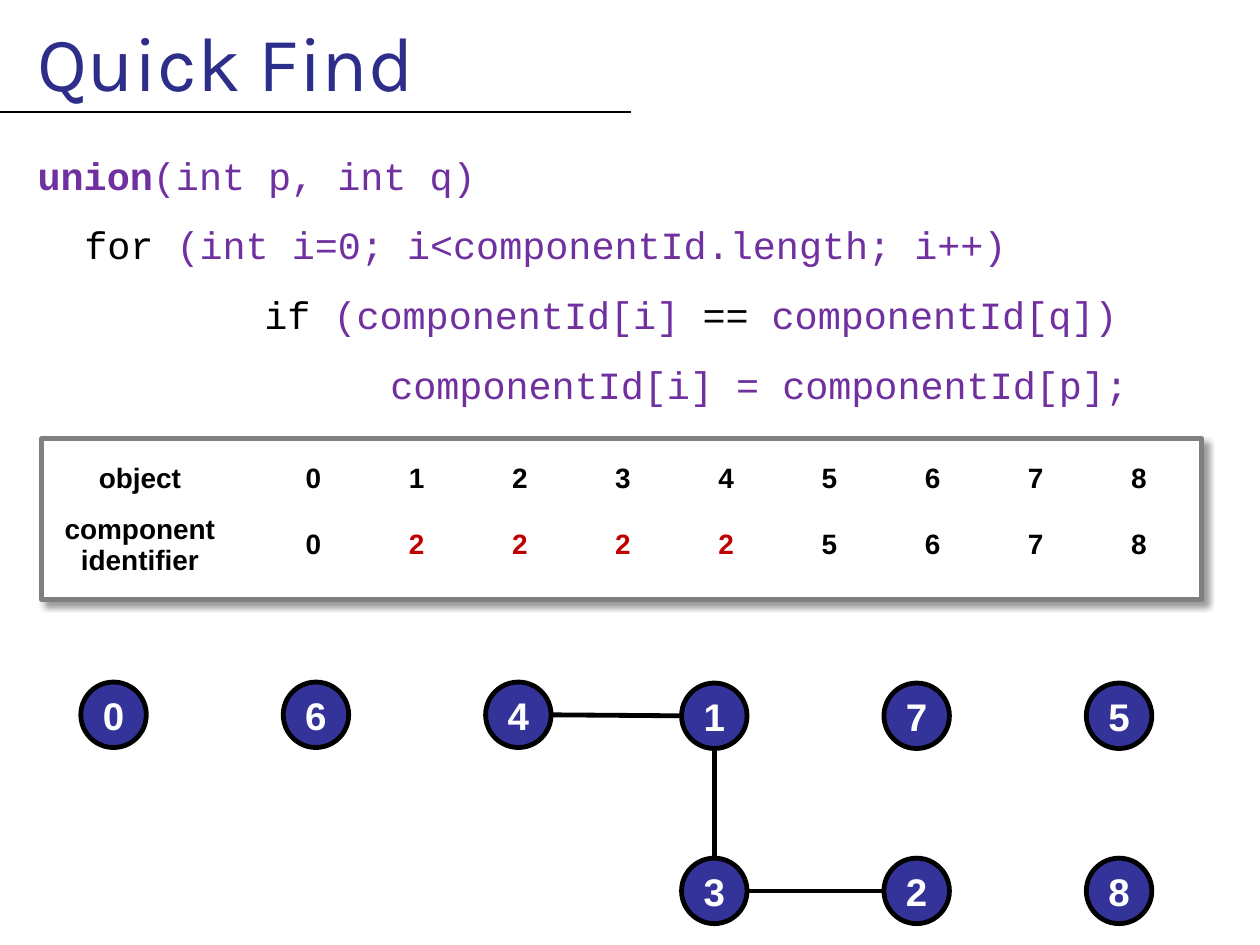
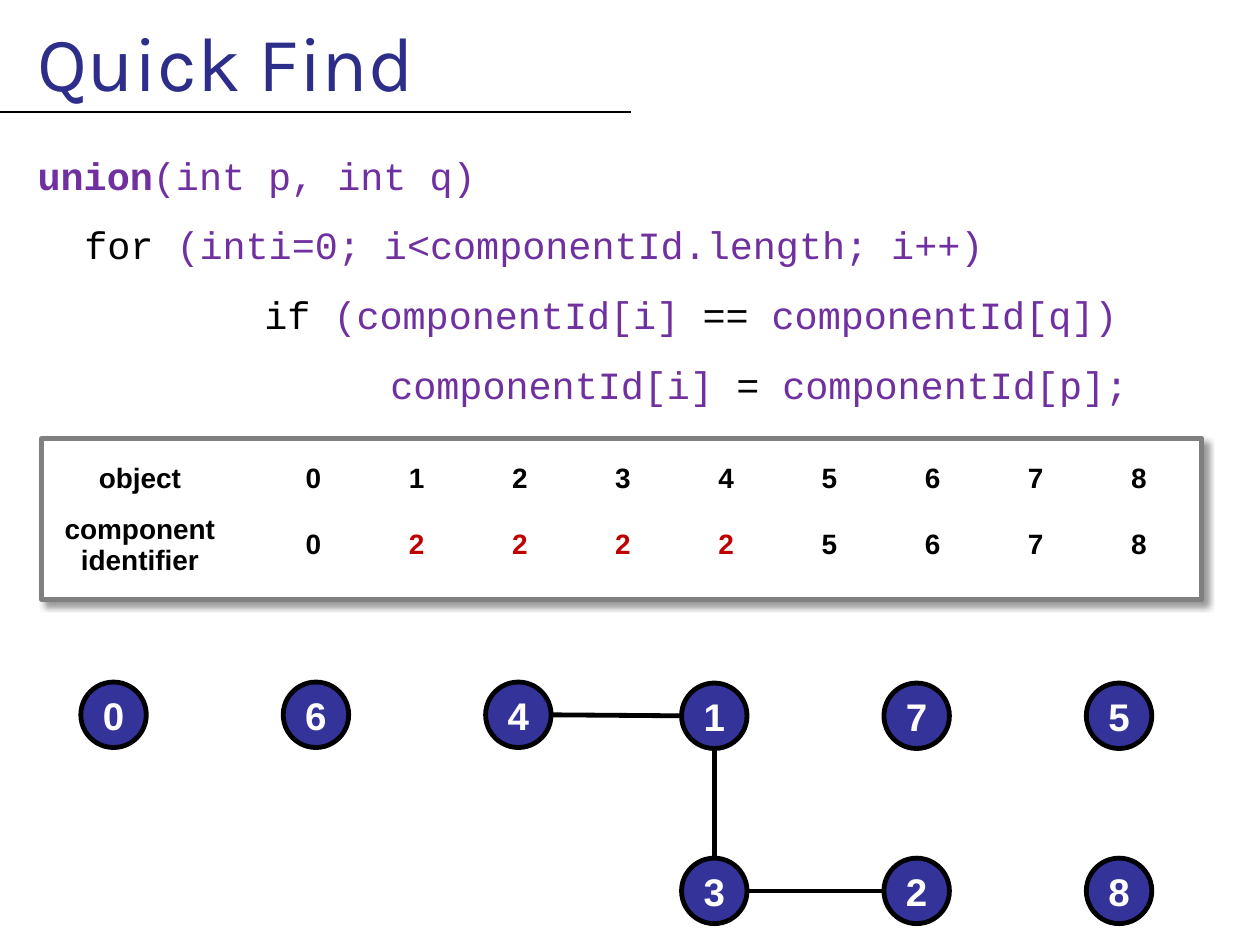
from lxml import etree
from pptx import Presentation
from pptx.dml.color import RGBColor
from pptx.enum.shapes import MSO_CONNECTOR as Connector, MSO_SHAPE as Shape
from pptx.enum.text import MSO_ANCHOR as Anchor, PP_ALIGN as Align
from pptx.oxml import parse_xml
from pptx.oxml.ns import nsdecls, qn
from pptx.util import Cm, Pt

COLORS = {
    "title": "2D2D8A",
    "code": "7030A0",
    "text": "000000",
    "changed": "C00000",
    "node": "333399",
    "frame": "808080",
    "white": "FFFFFF",
}
COLORS = {name: RGBColor.from_string(value) for name, value in COLORS.items()}

SHADOW = f"""<a:effectLst {nsdecls('a')}>
<a:outerShdw blurRad="50800" dist="38100" dir="2700000" algn="tl" rotWithShape="0">
<a:srgbClr val="000000"><a:alpha val="40000"/></a:srgbClr>
</a:outerShdw></a:effectLst>"""

LOOPS = ["(int i=0; i<componentId.length; i++)", "(inti=0; i<componentId.length; i++)"]
ASSIGN_COLORS = ["code", "text"]
CODE_INDENTS = [0.51, 1.45, 5.08, 7.62]

OBJECTS = [0, 1, 2, 3, 4, 5, 6, 7, 8]
IDENTIFIERS = [0, 2, 2, 2, 2, 5, 6, 7, 8]

NODE_SIZE = 1.32
NODE_STEP = 4.08
LEFT_START, RIGHT_START = 1.63, 13.74
TOP_ROW, BOTTOM_ROW = 13.75, 17.3
NODE_GROUPS = [
    (LEFT_START, TOP_ROW, "064"),
    (RIGHT_START, TOP_ROW + 0.02, "175"),
    (RIGHT_START, BOTTOM_ROW, "328"),
]


def add_text(paragraph, text, font="Arial", size=22, color="text", bold=False, align=None):
    run = paragraph.add_run()
    run.text = text
    run.font.name = font
    run.font.size = Pt(size)
    run.font.bold = bold
    run.font.color.rgb = COLORS[color]
    if align is not None:
        paragraph.alignment = align


def add_line(slide, start, end, width):
    line = slide.shapes.add_connector(
        Connector.STRAIGHT, *(Cm(value) for value in (*start, *end)))
    line.line.color.rgb = COLORS["text"]
    line.line.width = Pt(width)
    etree.SubElement(line._element.spPr, qn("a:effectLst"))


presentation = Presentation()
presentation.slide_width = Cm(25.4)
presentation.slide_height = Cm(19.05)

for loop, assign_color in zip(LOOPS, ASSIGN_COLORS):
    slide = presentation.slides.add_slide(presentation.slide_layouts[5])
    add_line(slide, (0, 2.26), (12.73, 2.26), 1.5)

    title = slide.shapes.title
    title.left, title.top, title.width, title.height = 0, 0, Cm(25.4), Cm(2.54)
    title.text_frame.vertical_anchor = Anchor.TOP
    title.text_frame.margin_left = Cm(0.76)
    title.text_frame.margin_top = Cm(0.29)
    add_text(title.text_frame.paragraphs[0], "Quick Find", font="Karla", size=44,
             color="title", align=Align.LEFT)

    code_lines = [
        [("union", "code"), ("(int p, int q)", "code")],
        [("for", "text"), (f" {loop}", "code")],
        [("if", "text"), (" (componentId[i] ", "code"), ("== ", "text"),
         ("componentId[q])", "code")],
        [("componentId[i] ", "code"), ("= ", assign_color), ("componentId[p];", "code")],
    ]
    code_box = slide.shapes.add_textbox(0, Cm(2.77), Cm(25.93), Cm(16.28))
    code_frame = code_box.text_frame
    code_frame.word_wrap = True
    code_frame.margin_top = Cm(0.29)
    for index, (indent, parts) in enumerate(zip(CODE_INDENTS, code_lines)):
        paragraph = code_frame.add_paragraph() if index else code_frame.paragraphs[0]
        paragraph._p.get_or_add_pPr().set("marL", str(Cm(indent)))
        paragraph.space_before = Pt(13.4 if index else 0)
        for text, color in parts:
            add_text(paragraph, text, font="Courier New", color=color, bold=text == "union")

    frame = slide.shapes.add_shape(Shape.RECTANGLE, Cm(0.84), Cm(8.84), Cm(23.39), Cm(3.25))
    frame.fill.solid()
    frame.fill.fore_color.rgb = COLORS["white"]
    frame.line.color.rgb = COLORS["frame"]
    frame.line.width = Pt(2.75)
    frame._element.spPr.append(parse_xml(SHADOW))

    table = slide.shapes.add_table(
        2, 11, Cm(0.97), Cm(9.14), Cm(22.99), Cm(2.64)).table
    table.first_row = table.horz_banding = False
    for column, width in zip(table.columns, [3.7, 0.58] + [2.08] * 9):
        column.width = Cm(width)
    for row, height in zip(table.rows, [1.04, 1.6]):
        row.height = Cm(height)
    table_rows = [["object", ""] + OBJECTS, ["component\nidentifier", ""] + IDENTIFIERS]
    for row, values in zip(table.rows, table_rows):
        for column, (cell, value) in enumerate(zip(row.cells, values)):
            cell.fill.background()
            cell.vertical_anchor = Anchor.MIDDLE
            changed = column > 1 and value != OBJECTS[column - 2] or value == 2 and row is not None and values is table_rows[1]
            for index, text in enumerate(str(value).splitlines()):
                paragraph = (cell.text_frame.add_paragraph() if index
                             else cell.text_frame.paragraphs[0])
                add_text(paragraph, text, size=16, bold=True, align=Align.CENTER,
                         color="changed" if changed else "text")

    centers = {}
    for start, top, labels in NODE_GROUPS:
        for index, label in enumerate(labels):
            left = start + index * NODE_STEP
            centers[label] = (left + NODE_SIZE / 2, top + NODE_SIZE / 2)
            node = slide.shapes.add_shape(
                Shape.OVAL, Cm(left), Cm(top), Cm(NODE_SIZE), Cm(NODE_SIZE))
            node.shadow.inherit = False
            node.fill.solid()
            node.fill.fore_color.rgb = COLORS["node"]
            node.line.color.rgb = COLORS["text"]
            node.line.width = Pt(2.75)
            node_frame = node.text_frame
            node_frame.word_wrap = False
            node_frame.vertical_anchor = Anchor.MIDDLE
            node_frame.margin_left = node_frame.margin_right = 0
            node_frame.margin_top = node_frame.margin_bottom = 0
            add_text(node_frame.paragraphs[0], label, color="white", bold=True,
                     align=Align.CENTER)

    radius = NODE_SIZE / 2
    for first, second, across, down in [("4", "1", 1, 0), ("1", "3", 0, 1), ("3", "2", 1, 0)]:
        (x1, y1), (x2, y2) = centers[first], centers[second]
        add_line(slide, (x1 + across * radius, y1 + down * radius),
                 (x2 - across * radius, y2 - down * radius), 2.75)

presentation.save("out.pptx")
